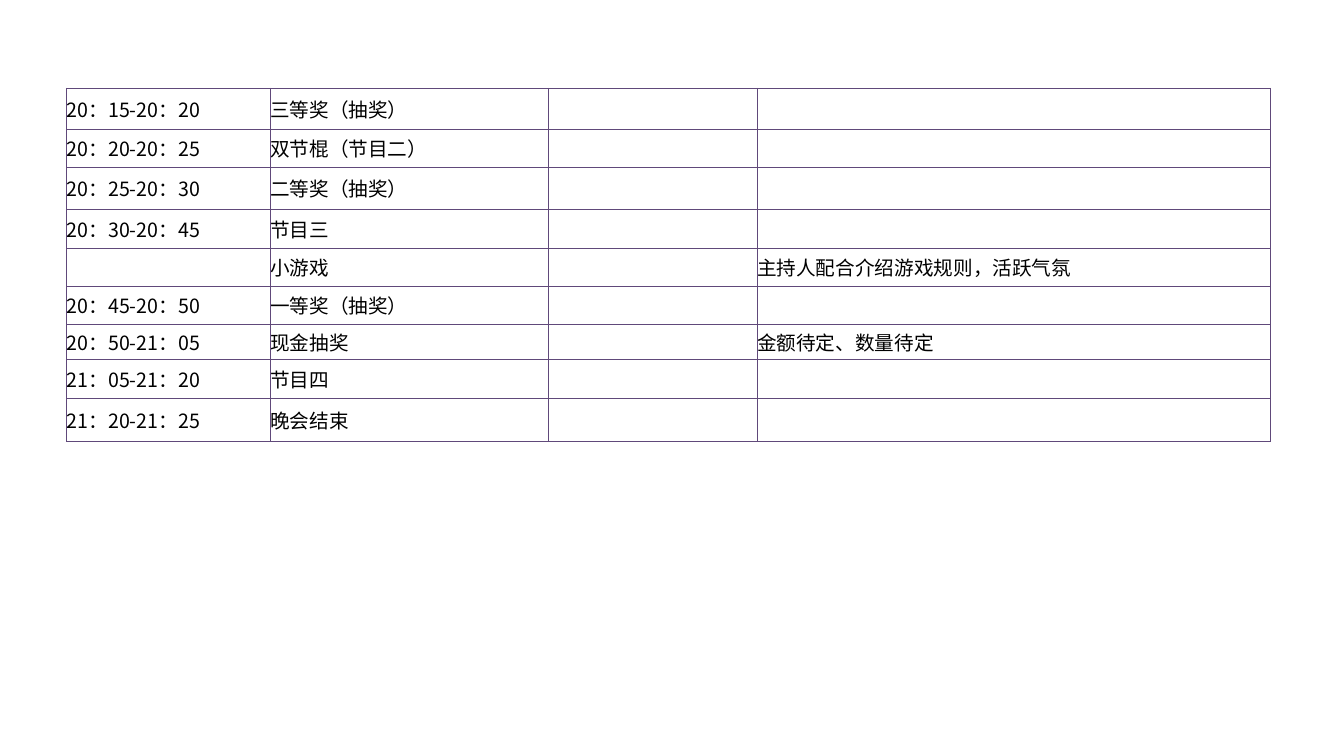
from typing import NamedTuple

from lxml import etree
from pptx import Presentation, util as u
from pptx.dml.color import RGBColor
from pptx.enum import lang, text
from pptx.oxml import ns
from pptx.table import _Cell

FONT = "Noto Sans CJK SC"
SIZE = u.Pt(14)
BLACK = RGBColor(0x00, 0x00, 0x00)
WHITE = RGBColor(0xFF, 0xFF, 0xFF)
PURPLE = RGBColor(0x60, 0x49, 0x7A)

COLUMN_WIDTHS = (5.13, 7.01, 5.26, 12.93)


class Event(NamedTuple):
    height: float
    time: str
    name: str
    person: str = ""
    remark: str = ""


EVENTS = (
    Event(1.04, "20：15-20：20", "三等奖（抽奖）"),
    Event(0.95, "20：20-20：25", "双节棍（节目二）"),
    Event(1.07, "20：25-20：30", "二等奖（抽奖）"),
    Event(0.97, "20：30-20：45", "节目三"),
    Event(0.97, "", "小游戏", remark="主持人配合介绍游戏规则，活跃气氛"),
    Event(0.94, "20：45-20：50", "一等奖（抽奖）"),
    Event(0.9, "20：50-21：05", "现金抽奖", remark="金额待定、数量待定"),
    Event(0.97, "21：05-21：20", "节目四"),
    Event(1.09, "21：20-21：25", "晚会结束"),
)


def write(cell: _Cell, content: str, *, font: str = FONT,
          size: u.Length = SIZE, color: RGBColor = BLACK) -> None:
    p = cell.text_frame.paragraphs[0]
    if not content:
        # An empty cell takes its line height from the paragraph end mark.
        end = etree.SubElement(p._p, ns.qn("a:endParaRPr"))
        end.set("sz", str(int(size.pt * 100)))
        return
    r = p.add_run()
    r.text = content
    r.font.name = font
    r.font.size = size
    r.font.color.rgb = color
    r.font.language_id = lang.MSO_LANGUAGE_ID.SIMPLIFIED_CHINESE
    ea = etree.SubElement(r.font._element, ns.qn("a:ea"))
    ea.set("typeface", font)


def add_borders(cell: _Cell, color: RGBColor, width: u.Length) -> None:
    """Draw all four sides; the lines must precede the fill in the XML."""
    tc_pr = cell._tc.get_or_add_tcPr()
    for i, side in enumerate(("lnL", "lnR", "lnT", "lnB")):
        ln = etree.Element(ns.qn(f"a:{side}"), w=str(int(width)))
        fill = etree.SubElement(ln, ns.qn("a:solidFill"))
        etree.SubElement(fill, ns.qn("a:srgbClr"), val=str(color))
        tc_pr.insert(i, ln)


def format_cell(cell: _Cell) -> None:
    cell.margin_left = cell.margin_right = 0
    cell.margin_top = cell.margin_bottom = 0
    cell.vertical_anchor = text.MSO_ANCHOR.MIDDLE
    cell.fill.solid()
    cell.fill.fore_color.rgb = WHITE
    add_borders(cell, PURPLE, u.Pt(0.5))


def main() -> None:
    prs = Presentation()
    prs.slide_width, prs.slide_height = u.Cm(33.87), u.Cm(19.05)
    s = prs.slides.add_slide(prs.slide_layouts[6])

    height = sum(event.height for event in EVENTS)
    table = s.shapes.add_table(
        len(EVENTS), len(COLUMN_WIDTHS), u.Cm(1.68), u.Cm(2.22),
        u.Cm(sum(COLUMN_WIDTHS)), u.Cm(height)).table
    table.first_row = table.horz_banding = False
    for column, width in zip(table.columns, COLUMN_WIDTHS):
        column.width = u.Cm(width)
    for row, event in zip(table.rows, EVENTS):
        row.height = u.Cm(event.height)
        for cell, content in zip(row.cells, event[1:]):
            format_cell(cell)
            write(cell, content)

    prs.save("out.pptx")


if __name__ == "__main__":
    main()
